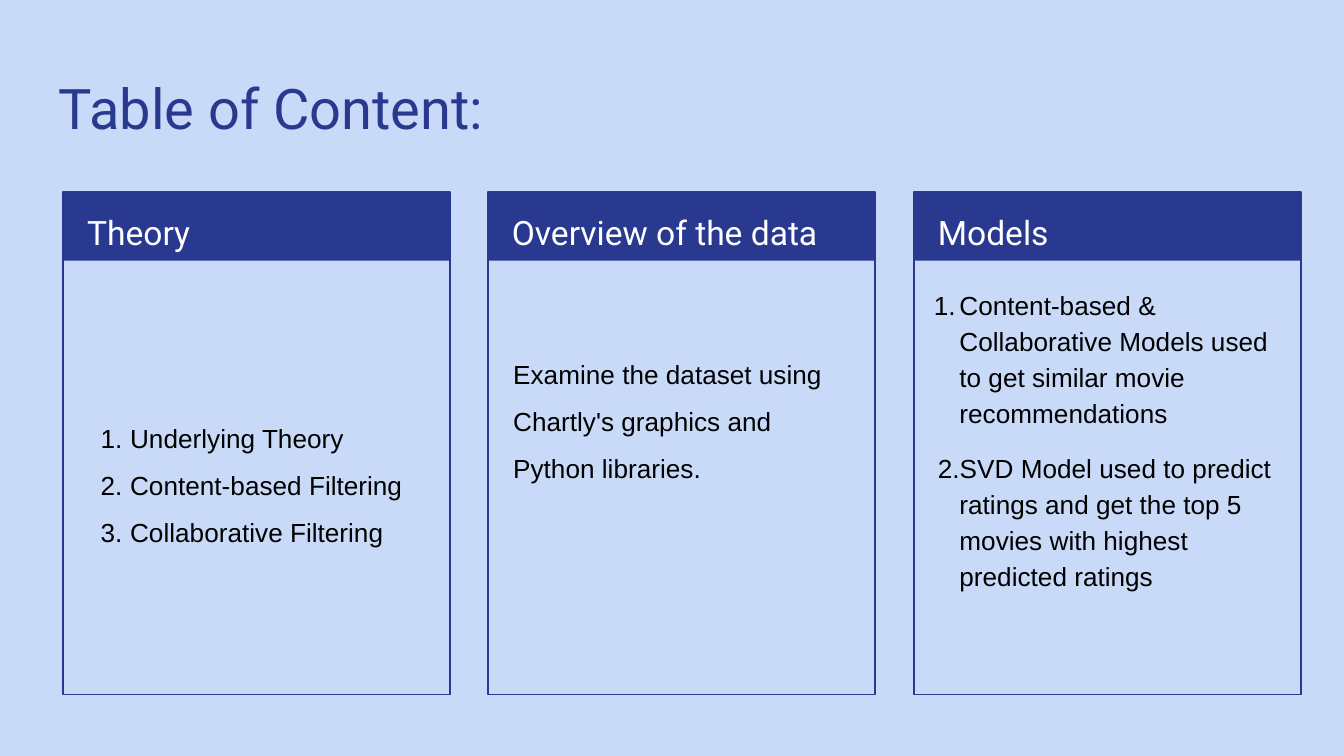
from pptx import Presentation
from pptx.util import Inches, Pt
from pptx.dml.color import RGBColor
from pptx.enum import shapes, text
from lxml import etree
from pptx.oxml import ns

NAVY = RGBColor(0x2A, 0x39, 0x90)
PALE = RGBColor(0xC9, 0xDA, 0xF8)
WHITE = RGBColor(0xFF, 0xFF, 0xFF)
BLACK = RGBColor(0, 0, 0)

deck = Presentation()
deck.slide_width = Inches(10)
deck.slide_height = Inches(10) * 9 // 16
page = deck.slides.add_slide(deck.slide_layouts[6])
page.background.fill.solid()
page.background.fill.fore_color.rgb = PALE


def add_panel(left, height):
    panel = page.shapes.add_shape(
        shapes.MSO_SHAPE.RECTANGLE, Inches(left), Inches(1.43), Inches(2.88), Inches(height))
    panel.shadow.inherit = False
    return panel


def add_text(left, top, width, height, lines, font, size, color,
             spacing=1.0, anchor=text.MSO_ANCHOR.TOP, indents=(), gap=0):
    box = page.shapes.add_textbox(Inches(left), Inches(top), Inches(width), Inches(height))
    frame = box.text_frame
    frame.word_wrap = True
    frame.vertical_anchor = anchor
    frame.margin_left = frame.margin_right = Inches(0.1)
    frame.margin_top = frame.margin_bottom = Inches(0.1)
    for index, line in enumerate(lines):
        para = frame.paragraphs[0] if index == 0 else frame.add_paragraph()
        if indents:
            margin, hanging = indents[index]
            properties = para._p.get_or_add_pPr()
            properties.set("marL", str(Inches(margin)))
            properties.set("indent", str(Inches(hanging)))
            bullet_color = etree.SubElement(properties, ns.qn("a:buClr"))
            etree.SubElement(bullet_color, ns.qn("a:srgbClr"), val=str(color))
            etree.SubElement(properties, ns.qn("a:buFont"), typeface=font)
            etree.SubElement(properties, ns.qn("a:buAutoNum"), type="arabicPeriod")
        para.line_spacing = spacing
        if index and gap:
            para.space_before = Pt(gap)
        span = para.add_run()
        span.text = line
        span.font.name = font
        span.font.size = Pt(size)
        span.font.color.rgb = color


add_text(0.34, 0.45, 9.32, 0.66, ["Table of Content:"], "Roboto", 30, NAVY)

for heading, left in [("Theory", 0.47), ("Overview of the data", 3.63), ("Models", 6.8)]:
    band = add_panel(left, 0.51)
    band.fill.solid()
    band.fill.fore_color.rgb = NAVY
    band.line.fill.background()
    border = add_panel(left, 3.74)
    border.fill.background()
    border.line.color.rgb = NAVY
    border.line.width = Pt(0.75)
    add_text(left + 0.08, 1.43, 2.73, 0.5, [heading], "Roboto", 18, WHITE, 1.15)

add_text(0.56, 2.02, 2.71, 3.06,
         ["Underlying Theory", "Content-based Filtering", "Collaborative Filtering"],
         "Arial", 14, BLACK, 1.5, text.MSO_ANCHOR.MIDDLE, [(0.31, -0.22)] * 3)
add_text(3.72, 2.45, 2.71, 2.59,
         ["Examine the dataset using Chartly's graphics and Python libraries."],
         "Arial", 14, BLACK, 1.5)
add_text(6.79, 2.02, 2.88, 2.98,
         ["Content-based & Collaborative Models used to get similar movie recommendations",
          "SVD Model used to predict ratings and get the top 5 movies with highest predicted ratings"],
         "Arial", 14, BLACK, 1.15, indents=[(0.25, -0.19), (0.25, -0.16)], gap=10)

deck.save("out.pptx")
